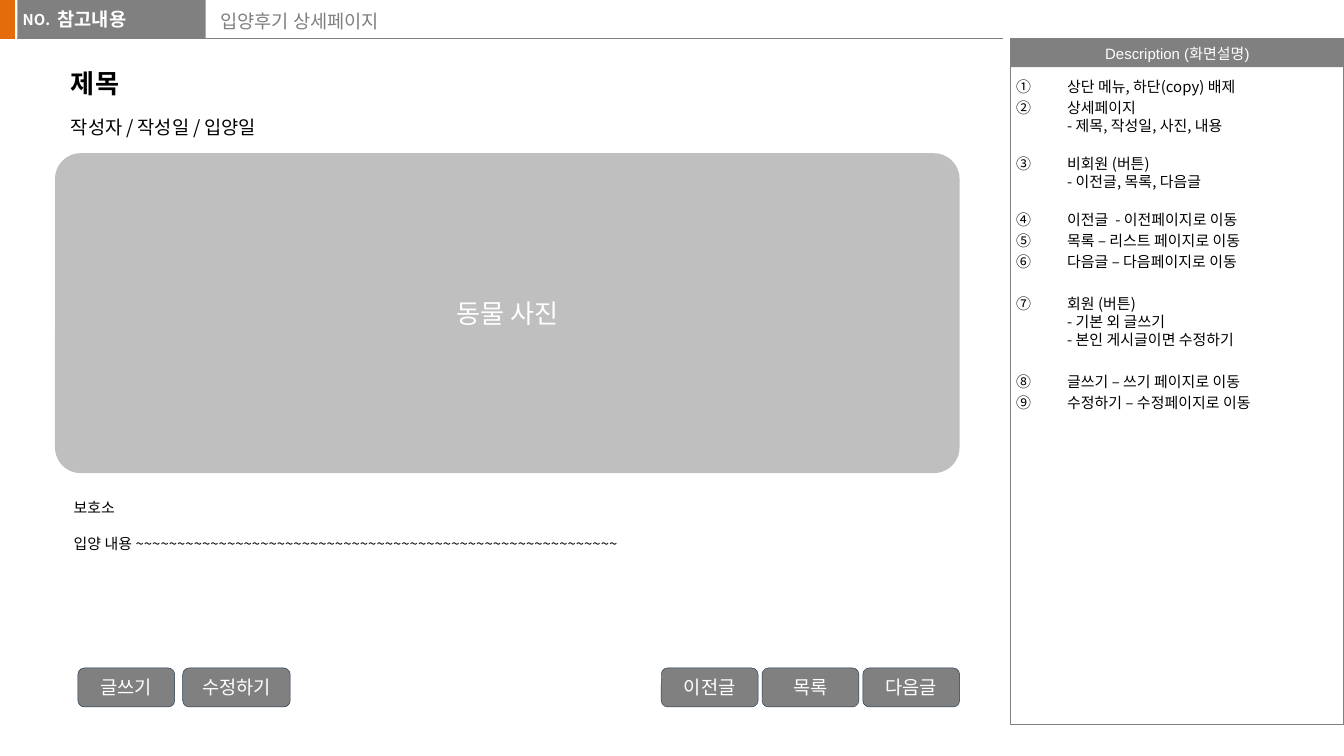
from dataclasses import dataclass, field

from lxml import etree
from pptx import Presentation
from pptx import util as u
from pptx.dml.color import RGBColor
from pptx.enum import shapes, text
from pptx.oxml.ns import qn

KIND = shapes.MSO_SHAPE
PIN = text.MSO_ANCHOR
SIDE = text.PP_ALIGN


@dataclass(frozen=True)
class Theme:
    sans: str = "Noto Sans CJK KR"
    latin: str = "Arial"
    black: str = "000000"
    white: str = "FFFFFF"
    gray: str = "808080"
    pale: str = "BFBFBF"
    accent: str = "E46C0A"
    edge: str = "233953"
    small: float = 8
    mid: float = 10
    large: float = 14
    lead: float = 1.2


T = Theme()


@dataclass(frozen=True)
class Box:
    x: float
    y: float
    w: float
    h: float

    def emu(self) -> list:
        return [u.Inches(v) for v in (self.x, self.y, self.w, self.h)]


@dataclass(frozen=True)
class Style:
    size: float = T.small
    color: str = T.black
    bold: bool = False
    face: str = T.sans
    side: SIDE = SIDE.LEFT


@dataclass(frozen=True)
class Para:
    words: str
    before: float = 0


@dataclass(frozen=True)
class Label:
    box: Box
    paras: list
    style: Style = Style()
    frame: dict = field(default_factory=dict)


@dataclass(frozen=True)
class Button:
    words: str
    x: float
    w: float = 0.72


def apply(item, vals: dict) -> None:
    for key, val in vals.items():
        setattr(item, key, val)


def write(frame, paras: list, style: Style, **vals) -> None:
    """Fill a text frame; a newline inside a paragraph is a line break."""
    apply(frame, {"word_wrap": True, "auto_size": text.MSO_AUTO_SIZE.NONE,
                  "vertical_anchor": PIN.TOP, **vals})
    for i, item in enumerate(paras):
        para = frame.add_paragraph() if i else frame.paragraphs[0]
        para.text = item.words.replace("\n", "\v")
        apply(para, {"alignment": style.side, "space_before": u.Pt(item.before),
                     "line_spacing": u.Pt(style.size * T.lead)})
        for run in para.runs:
            apply(run.font, {"size": u.Pt(style.size), "bold": style.bold,
                             "name": style.face})
            run.font.color.rgb = RGBColor.from_string(style.color)
            east = etree.Element(qn("a:ea"), typeface=T.sans)
            run.font._element.find(qn("a:latin")).addnext(east)


def block(slide, box: Box, fill: str = "", line: str = "", width: float = 0,
          kind: KIND = KIND.RECTANGLE):
    item = slide.shapes.add_shape(kind, *box.emu())
    item.shadow.inherit = False
    if fill:
        item.fill.solid()
        item.fill.fore_color.rgb = RGBColor.from_string(fill)
    else:
        item.fill.background()
    if line:
        item.line.color.rgb = RGBColor.from_string(line)
        item.line.width = u.Pt(width)
    else:
        item.line.fill.background()
    return item


def label(slide, spec: Label):
    item = slide.shapes.add_textbox(*spec.box.emu())
    write(item.text_frame, spec.paras, spec.style, **spec.frame)
    return item


def rule(slide, x1: float, x2: float, y: float) -> None:
    line = slide.shapes.add_connector(
        shapes.MSO_CONNECTOR.STRAIGHT, *(u.Inches(v) for v in (x1, y, x2, y)))
    line.line.color.rgb = RGBColor.from_string(T.gray)
    line.line.width = u.Pt(0.5)
    etree.SubElement(line._element.spPr, qn("a:effectLst"))


def number(frame) -> None:
    """Give each paragraph a circled number and a hanging indent."""
    hang = u.Inches(0.38)
    for para in frame.paragraphs:
        props = para._p.get_or_add_pPr()
        props.set("marL", str(hang))
        props.set("indent", str(-hang))
        etree.SubElement(props, qn("a:buAutoNum"), type="circleNumDbPlain")


def button(slide, spec: Button) -> None:
    item = block(slide, Box(spec.x, 4.97, spec.w, 0.29), T.gray, T.edge, 0.25,
                 KIND.ROUNDED_RECTANGLE)
    write(item.text_frame, [Para(spec.words)],
          Style(T.mid, T.white, side=SIDE.CENTER), vertical_anchor=PIN.MIDDLE)


NEAR, GAP, WIDE = 1.6, 10.8, 12.9
NOTES = [
    Para("상단 메뉴, 하단(copy) 배제"),
    Para("상세페이지\n- 제목, 작성일, 사진, 내용", NEAR),
    Para("비회원 (버튼)\n- 이전글, 목록, 다음글", GAP),
    Para("이전글  - 이전페이지로 이동", GAP),
    Para("목록 – 리스트 페이지로 이동", NEAR),
    Para("다음글 – 다음페이지로 이동", NEAR),
    Para("회원 (버튼)\n- 기본 외 글쓰기\n- 본인 게시글이면 수정하기", WIDE),
    Para("글쓰기 – 쓰기 페이지로 이동", WIDE),
    Para("수정하기 – 수정페이지로 이동", NEAR),
]
LABELS = [
    Label(Box(0.07, 0.03, 0.41, 0.24), [Para("NO.")],
          Style(T.small, T.white, True), {"word_wrap": False}),
    Label(Box(0.43, 0.01, 0.87, 0.31), [Para("참고내용")],
          Style(T.mid, T.white, True, T.latin),
          {"margin_left": 0, "margin_right": 0}),
    Label(Box(0.43, 0.45, 1.43, 0.34), [Para("제목")],
          Style(T.large, bold=True)),
    Label(Box(0.43, 0.64, 3.23, 0.44), [Para("작성자 / 작성일 / 입양일")],
          Style(T.mid), {"vertical_anchor": PIN.BOTTOM}),
    Label(Box(0.45, 3.66, 6.59, 0.5),
          [Para("보호소"), Para("입양 내용 " + "~" * 58, T.small * T.lead)]),
]
BUTTONS = [Button("글쓰기", 0.58), Button("수정하기", 1.36, 0.8)] + [
    Button(words, 4.92 + 0.75 * i)
    for i, words in enumerate(("이전글", "목록", "다음글"))]


def main() -> None:
    deck = Presentation()
    wide = u.Inches(10)
    apply(deck, {"slide_width": wide, "slide_height": wide * 9 // 16})
    slide = deck.slides.add_slide(deck.slide_layouts[5])

    block(slide, Box(-0.01, 0, 0.12, 0.29), T.accent)
    rule(slide, 0.13, 7.46, 0.29)
    block(slide, Box(0.13, 0, 1.4, 0.29), T.gray)
    title = slide.shapes.title
    apply(title, dict(zip(("left", "top", "width", "height"),
                          Box(1.54, 0.02, 5.91, 0.32).emu())))
    write(title.text_frame, [Para("입양후기 상세페이지")], Style(T.mid, T.gray))

    head = block(slide, Box(7.52, 0.29, 2.48, 0.21), T.gray)
    write(head.text_frame, [Para("Description (화면설명)")],
          Style(T.small, T.white, face=T.latin, side=SIDE.CENTER),
          word_wrap=False, vertical_anchor=PIN.MIDDLE)
    block(slide, Box(7.52, 0.29, 2.48, 5.1), line=T.gray, width=0.75)
    notes = label(slide, Label(
        Box(7.52, 0.53, 2.48, 4.88), NOTES,
        frame={"margin_left": u.Inches(0.04), "margin_right": 0}))
    number(notes.text_frame)

    photo = block(slide, Box(0.41, 1.14, 6.73, 2.38), T.pale,
                  kind=KIND.ROUNDED_RECTANGLE)
    photo.adjustments[0] = 0.08
    write(photo.text_frame, [Para("동물 사진")],
          Style(T.large, T.white, side=SIDE.CENTER), vertical_anchor=PIN.MIDDLE)

    for spec in LABELS:
        label(slide, spec)
    for spec in BUTTONS:
        button(slide, spec)
    deck.save("out.pptx")


if __name__ == "__main__":
    main()
